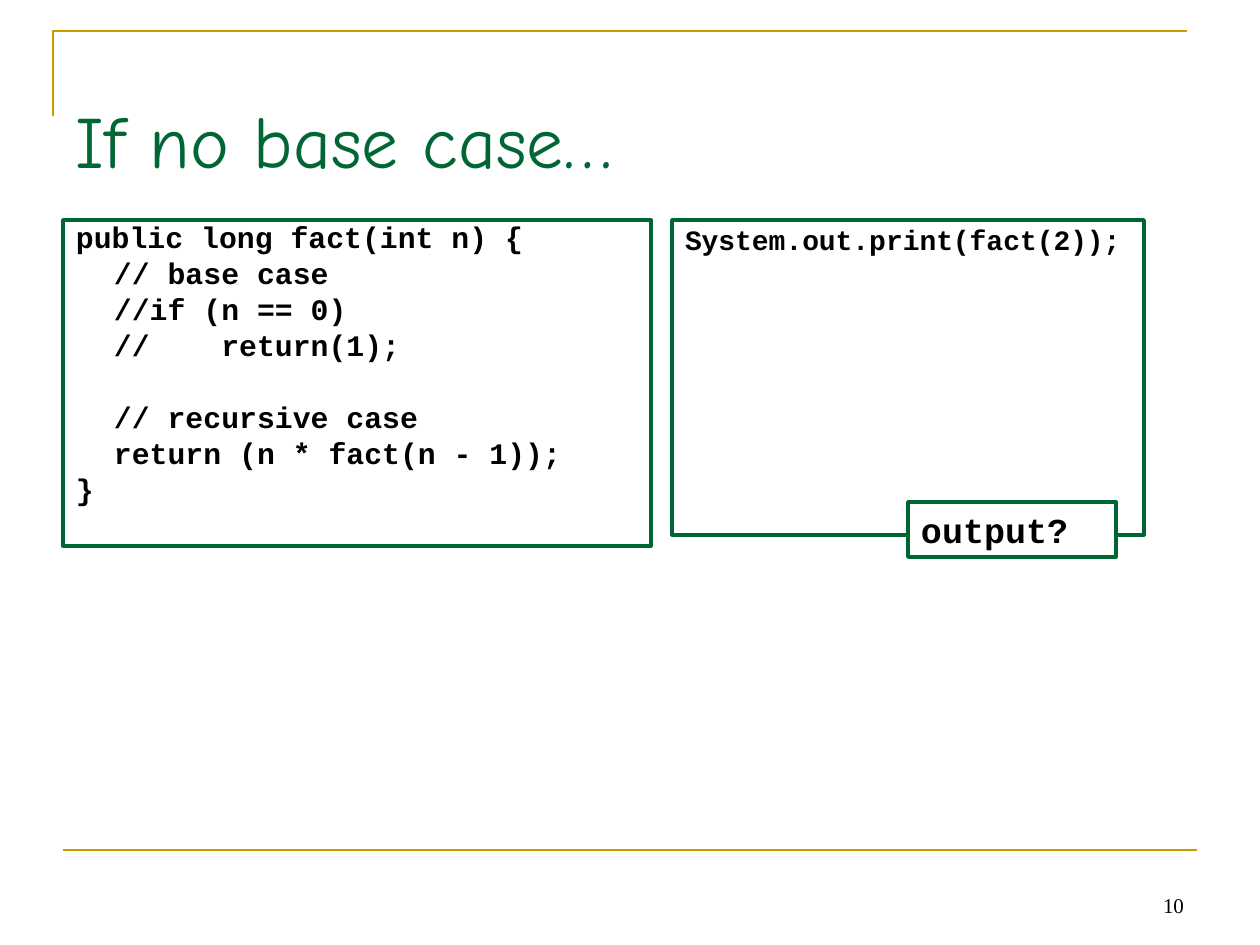
from dataclasses import dataclass

from lxml import etree
from pptx import Presentation
from pptx.dml.color import RGBColor
from pptx.enum.shapes import MSO_CONNECTOR, MSO_SHAPE
from pptx.enum.text import MSO_ANCHOR, MSO_AUTO_SIZE, PP_ALIGN
from pptx.oxml.ns import qn
from pptx.util import Emu, Inches, Pt

RECT = MSO_SHAPE.RECTANGLE
STRAIGHT = MSO_CONNECTOR.STRAIGHT
TOP, BOTTOM = MSO_ANCHOR.TOP, MSO_ANCHOR.BOTTOM
LEFT, RIGHT = PP_ALIGN.LEFT, PP_ALIGN.RIGHT
FIXED = MSO_AUTO_SIZE.NONE
SCALE = Inches(10) / 1260


@dataclass(frozen=True)
class Theme:
    green: RGBColor = RGBColor(0x00, 0x66, 0x33)
    gold: RGBColor = RGBColor(0xCC, 0x99, 0x00)
    black: RGBColor = RGBColor(0, 0, 0)
    white: RGBColor = RGBColor(255, 255, 255)
    head: str = "Comic Neue"
    mono: str = "Courier New"
    serif: str = "Times New Roman"
    title: int = 42
    note: int = 12
    rule: float = 1.5
    edge: int = 2


@dataclass(frozen=True)
class Line:
    text: str
    gap: float = 0


@dataclass(frozen=True)
class Panel:
    left: int
    top: int
    width: int
    height: int
    lines: tuple[Line, ...]
    size: int
    hang: int
    pitch: float = 1.0
    solid: bool = False


THEME = Theme()
GAP = 4.2
SKIP = 24.8

PANELS = (
    Panel(63, 220, 588, 326, (
        Line("public long fact(int n) {"),
        Line("\t// base case", GAP),
        Line("\t//if (n == 0)", GAP),
        Line("\t//    return(1);", GAP),
        Line("\t// recursive case", SKIP),
        Line("\treturn (n * fact(n - 1));", GAP),
        Line("}", GAP),
    ), 17, 38, 0.8),
    Panel(672, 220, 472, 315, (Line("System.out.print(fact(2));"),), 16, 47, 0.9),
    Panel(908, 502, 208, 55, (Line("output?"),), 20, 47, solid=True),
)


def px(count: int) -> Emu:
    return Emu(round(count * SCALE))


def style(para, font: str, size: int, color: RGBColor, bold: bool = False) -> None:
    for run in para.runs:
        run.font.name = font
        run.font.size = Pt(size)
        run.font.color.rgb = color
        run.font.bold = bold


def set_frame(frame, anchor, foot: int = 6) -> None:
    frame.word_wrap = True
    frame.auto_size = FIXED
    frame.vertical_anchor = anchor
    frame.margin_left = frame.margin_right = px(13)
    frame.margin_top, frame.margin_bottom = px(6), px(foot)


def draw_rules(slide) -> None:
    pen = slide.shapes.build_freeform(px(53), px(116), scale=1.0)
    pen.add_line_segments([(px(53), px(31)), (px(1187), px(31))], close=False)
    frame = pen.convert_to_shape()
    frame.fill.background()
    frame.shadow.inherit = False
    base = slide.shapes.add_connector(STRAIGHT, px(63), px(850), px(1197), px(850))
    etree.SubElement(base._element.spPr, qn("a:effectLst"))
    for rule in (frame, base):
        rule.line.color.rgb = THEME.gold
        rule.line.width = Pt(THEME.rule)


def draw_number(slide, text: str) -> None:
    box = slide.shapes.add_textbox(px(903), px(861), px(294), px(63))
    set_frame(box.text_frame, BOTTOM)
    box.text_frame.text = text
    para = box.text_frame.paragraphs[0]
    para.alignment = RIGHT
    style(para, THEME.serif, THEME.note, THEME.black)


def draw_title(slide, text: str) -> None:
    title = slide.shapes.title
    title.left, title.top = px(63), px(38)
    title.width, title.height = px(1134), px(158)
    set_frame(title.text_frame, BOTTOM, foot=13)
    title.text_frame.text = text
    para = title.text_frame.paragraphs[0]
    para.alignment = LEFT
    style(para, THEME.head, THEME.title, THEME.green)


def draw_panel(slide, panel: Panel) -> None:
    box = slide.shapes.add_shape(
        RECT, px(panel.left), px(panel.top), px(panel.width), px(panel.height))
    box.shadow.inherit = False
    if panel.solid:
        box.fill.solid()
        box.fill.fore_color.rgb = THEME.white
    else:
        box.fill.background()
    box.line.color.rgb = THEME.green
    box.line.width = Pt(THEME.edge)
    frame = box.text_frame
    set_frame(frame, TOP)
    frame.text = "\n".join(line.text for line in panel.lines)
    for para, line in zip(frame.paragraphs, panel.lines):
        props = para._p.get_or_add_pPr()
        props.set("marL", str(px(panel.hang)))
        props.set("indent", str(-px(panel.hang)))
        para.alignment = LEFT
        para.line_spacing = panel.pitch
        para.space_before = Pt(line.gap)
        style(para, THEME.mono, panel.size, THEME.black, bold=True)


def main() -> None:
    deck = Presentation()
    deck.slide_width, deck.slide_height = px(1260), px(945)
    slide = deck.slides.add_slide(deck.slide_layouts[5])
    draw_rules(slide)
    draw_number(slide, "10")
    draw_title(slide, "If no base case…")
    for panel in PANELS:
        draw_panel(slide, panel)
    deck.save("out.pptx")


if __name__ == "__main__":
    main()
